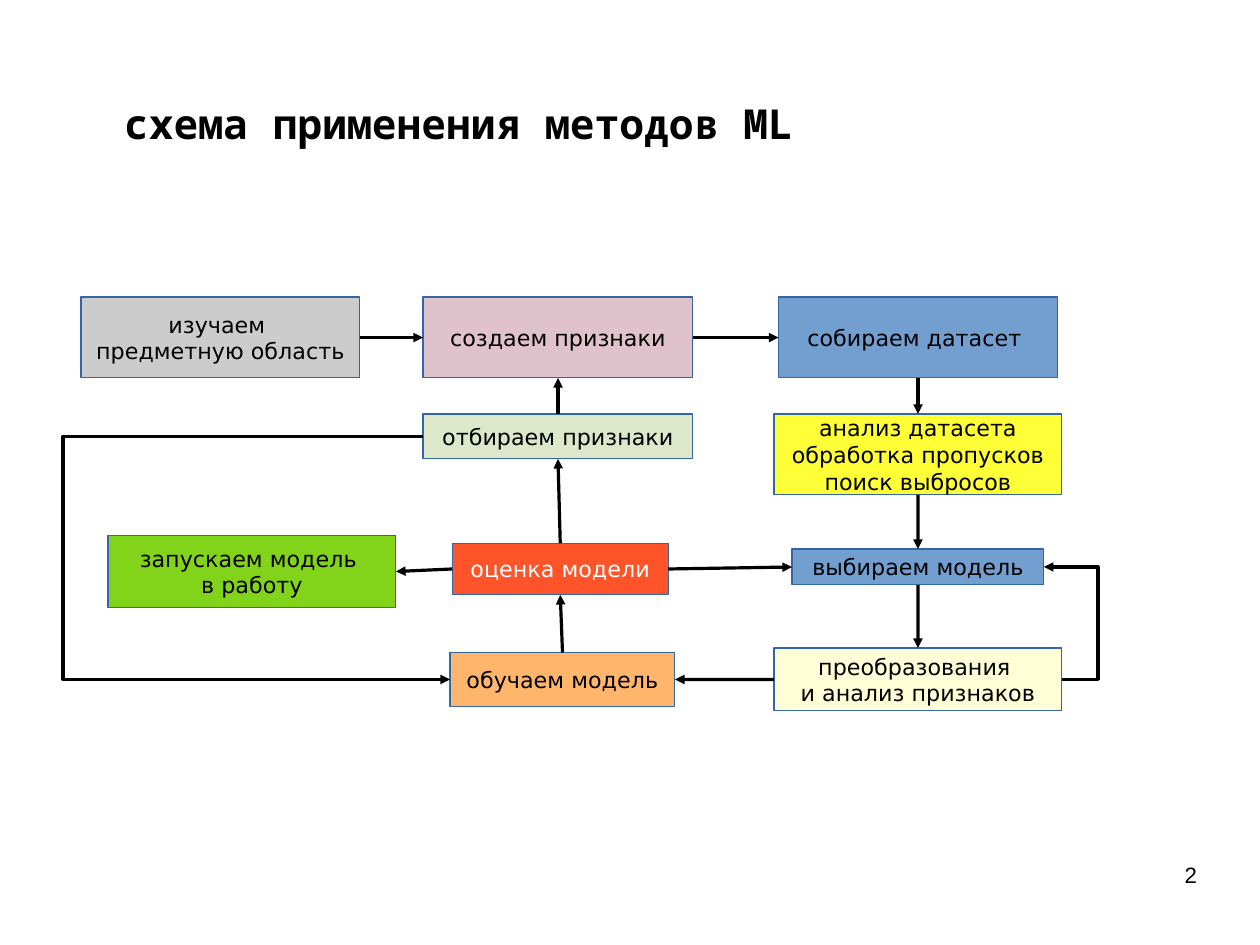
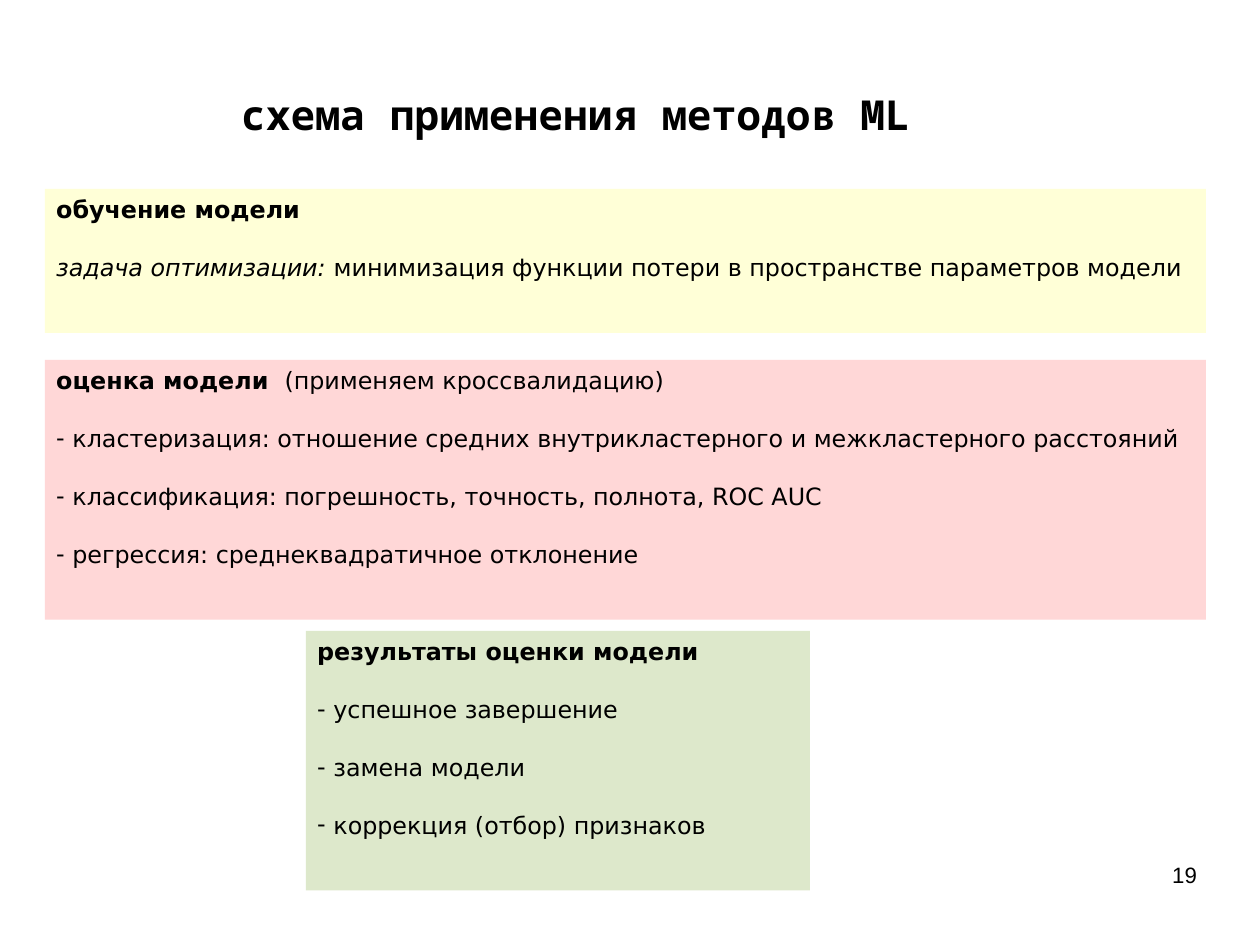
from dataclasses import dataclass

from lxml import etree
from pptx import Presentation
from pptx.dml.color import RGBColor
from pptx.enum.shapes import MSO_CONNECTOR, MSO_SHAPE
from pptx.enum.text import MSO_ANCHOR, MSO_AUTO_SIZE, PP_ALIGN
from pptx.oxml.ns import qn
from pptx.util import Cm, Pt

RECT = MSO_SHAPE.RECTANGLE
LINE, ELBOW = MSO_CONNECTOR.STRAIGHT, MSO_CONNECTOR.ELBOW
LEFT, MID, RIGHT = PP_ALIGN.LEFT, PP_ALIGN.CENTER, PP_ALIGN.RIGHT
TOP, CENTRE = MSO_ANCHOR.TOP, MSO_ANCHOR.MIDDLE
FIXED = MSO_AUTO_SIZE.NONE
# Connection sites of a rectangle
UP, WEST, DOWN, EAST = range(4)


@dataclass(frozen=True)
class Theme:
    # Fonts and sizes
    head: str = "Noto Sans Mono"
    body: str = "DejaVu Sans"
    foot: str = "Arial"
    big: float = 26
    note: float = 15
    small: float = 14
    gap: float = 18.5
    # Colours
    black: str = "000000"
    white: str = "FFFFFF"
    edge: str = "3465A4"
    grey: str = "CCCCCC"
    mauve: str = "E0C2CD"
    blue: str = "729FCF"
    cream: str = "FFFFD7"
    yellow: str = "FFFF38"
    sage: str = "DDE8CB"
    red: str = "FF5429"
    orange: str = "FFB66C"
    green: str = "81D41A"
    pink: str = "FFD7D7"


def rgb(code):
    return RGBColor.from_string(code)


class Deck:
    def __init__(self, theme):
        self.theme = theme
        self.file = Presentation()
        self.file.slide_width, self.file.slide_height = Cm(28), Cm(21)
        self.slide = None

    def frame(self, shape, anchor, inset=True, wrap=True):
        """Prepare the text frame of a shape."""
        text = shape.text_frame
        text.auto_size = FIXED
        text.word_wrap = wrap
        text.vertical_anchor = anchor
        text.margin_left = text.margin_right = Cm(0.25 if inset else 0)
        text.margin_top = text.margin_bottom = Cm(0.13 if inset else 0)
        return text

    def run(self, para, words, font, size, color=None, bold=False, slant=False):
        run = para.add_run()
        run.text = words
        run.font.name, run.font.size = font, Pt(size)
        run.font.bold, run.font.italic = bold, slant
        run.font.color.rgb = rgb(color or self.theme.black)

    def page(self, title, place, number):
        """Start a slide with its title and page number."""
        t = self.theme
        self.slide = self.file.slides.add_slide(self.file.slide_layouts[5])
        head = self.slide.shapes.title
        head.left, head.top, head.width, head.height = map(Cm, place)
        para = self.frame(head, CENTRE, inset=False).paragraphs[0]
        para.alignment = MID
        self.run(para, title, t.head, t.big, bold=True)
        foot = self.slide.shapes.add_textbox(*map(Cm, (20.07, 19.13, 6.53, 1.45)))
        para = self.frame(foot, TOP, inset=False).paragraphs[0]
        para.alignment = RIGHT
        self.run(para, number, t.foot, t.small)

    def rect(self, place, fill):
        shape = self.slide.shapes.add_shape(RECT, *map(Cm, place))
        shape.shadow.inherit = False
        shape.fill.solid()
        shape.fill.fore_color.rgb = rgb(fill)
        return shape

    def step(self, place, fill, lines, color=None):
        """Add one box of the flow chart."""
        t = self.theme
        shape = self.rect(place, fill)
        shape.line.color.rgb = rgb(t.edge)
        shape.line.width = 0
        text = self.frame(shape, CENTRE, wrap=False)
        for i, words in enumerate(lines):
            para = text.add_paragraph() if i else text.paragraphs[0]
            para.alignment = MID
            self.run(para, words, t.body, t.small, color)
        return shape

    def arrow(self, start, out, end, into, bend=None):
        """Join two boxes; bend is the x of the elbow in cm."""
        kind = LINE if bend is None else ELBOW
        link = self.slide.shapes.add_connector(kind, 0, 0, 0, 0)
        link.begin_connect(start, out)
        link.end_connect(end, into)
        link.line.color.rgb = rgb(self.theme.black)
        link.line.width = 0
        props = link._element.spPr
        etree.SubElement(props.find(qn("a:ln")), qn("a:tailEnd"), type="triangle")
        etree.SubElement(props, qn("a:effectLst"))
        if bend is not None:
            share = (Cm(bend) - link.begin_x) / (link.end_x - link.begin_x)
            guides = props.find(qn("a:prstGeom")).get_or_add_avLst()
            etree.SubElement(guides, qn("a:gd"), name="adj1",
                             fmla=f"val {round(share * 100000)}")

    def dash(self, para):
        """Give a paragraph a hyphen bullet with a hanging indent."""
        props = para._p.get_or_add_pPr()
        props.set("marL", str(Cm(0.36)))
        props.set("indent", str(-Cm(0.36)))
        etree.SubElement(props, qn("a:buFont"), typeface=self.theme.body)
        etree.SubElement(props, qn("a:buChar"), char="-")

    def panel(self, place, fill, head, rest=(), items=()):
        """Add a filled note: heading runs, further lines, dashed items."""
        t = self.theme
        shape = self.rect(place, fill)
        shape.line.fill.background()
        text = self.frame(shape, TOP)
        rows = [(head, False)]
        rows += [(runs, False) for runs in rest]
        rows += [([(words, "")], True) for words in items]
        for i, (runs, dashed) in enumerate(rows):
            para = text.add_paragraph() if i else text.paragraphs[0]
            para.alignment = LEFT
            if i:
                para.space_before = Pt(t.gap)
            if dashed:
                self.dash(para)
            for words, style in runs:
                self.run(para, words, t.body, t.note,
                         bold=style == "b", slant=style == "i")


def main():
    t = Theme()
    deck = Deck(t)
    title = "схема применения методов ML"

    # Flow chart: boxes
    deck.page(title, (0.4, 2.05, 19.6, 1.35), "2")
    study = deck.step((1.8, 6.6, 6.2, 1.8), t.grey,
                      ["изучаем ", "предметную область"])
    make = deck.step((9.4, 6.6, 6, 1.8), t.mauve, ["создаем признаки"])
    data = deck.step((17.3, 6.6, 6.2, 1.8), t.blue, ["собираем датасет "])
    clean = deck.step((17.2, 9.2, 6.4, 1.8), t.yellow,
                      ["анализ датасета", "обработка пропусков", "поиск выбросов"])
    choose = deck.step((17.6, 12.2, 5.6, 0.8), t.blue, ["выбираем модель"])
    shift = deck.step((17.2, 14.4, 6.4, 1.4), t.cream,
                      ["преобразования ", "и анализ признаков"])
    pick = deck.step((9.4, 9.2, 6, 1), t.sage, ["отбираем признаки"])
    rate = deck.step((10.05, 12.07, 4.8, 1.15), t.red, ["оценка модели"], t.white)
    train = deck.step((10, 14.5, 5, 1.2), t.orange, ["обучаем модель"])
    launch = deck.step((2.4, 11.9, 6.4, 1.6), t.green,
                       ["запускаем модель ", "в работу"])

    # Flow chart: arrows
    for link in (
        (study, EAST, make, WEST),
        (make, EAST, data, WEST),
        (data, DOWN, clean, UP),
        (clean, DOWN, choose, UP),
        (choose, DOWN, shift, UP),
        (shift, WEST, train, EAST),
        (train, UP, rate, DOWN),
        (rate, UP, pick, DOWN),
        (rate, EAST, choose, WEST),
        (rate, WEST, launch, EAST),
        (pick, UP, make, DOWN),
        (shift, EAST, choose, EAST, 24.4),
        (pick, WEST, train, WEST, 1.4),
    ):
        deck.arrow(*link)

    # Training and rating notes
    deck.page(title, (0.8, 1.85, 24, 1.35), "19")
    deck.panel((1, 4.2, 25.8, 3.2), t.cream, [("обучение модели", "b")],
               rest=[[("задача оптимизации: ", "i"),
                      ("минимизация функции потери в пространстве "
                       "параметров модели", "")]])
    deck.panel((1, 8, 25.8, 5.77), t.pink,
               [("оценка модели ", "b"), (" (применяем кроссвалидацию)", "")],
               items=["кластеризация: отношение средних внутрикластерного "
                      "и межкластерного расстояний",
                      "классификация: погрешность, точность, полнота, ROC AUC",
                      "регрессия: среднеквадратичное отклонение"])
    deck.panel((6.8, 14.02, 11.2, 5.77), t.sage,
               [("результаты оценки модели", "b")],
               items=["успешное завершение", "замена модели",
                      "коррекция (отбор) признаков"])

    deck.file.save("out.pptx")


if __name__ == "__main__":
    main()
